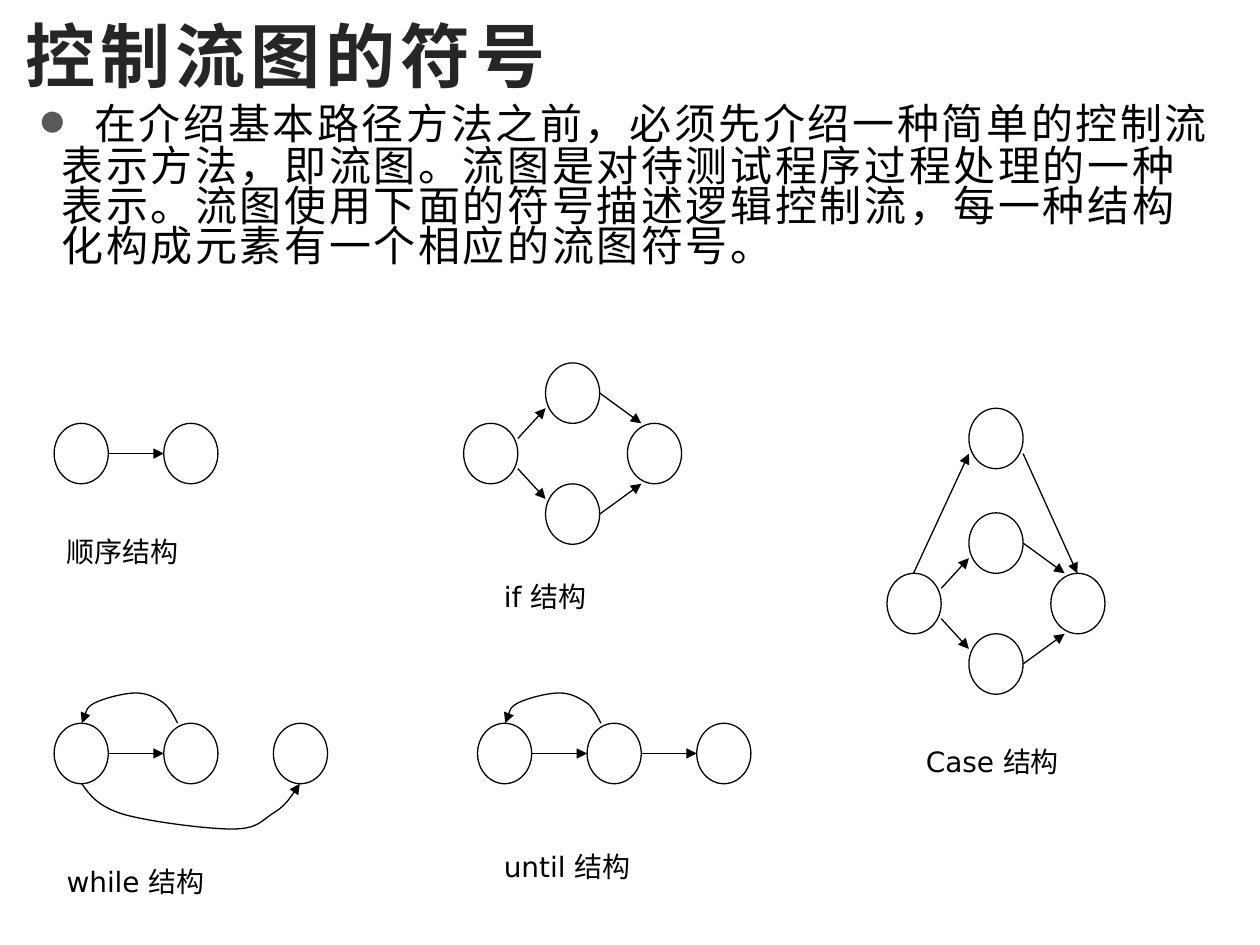
"""Build a slide of the control flow graph symbols."""
from dataclasses import dataclass, field

from pptx import Presentation
from pptx.dml.color import RGBColor
from pptx.enum.shapes import MSO_CONNECTOR as Connector, MSO_SHAPE as Shape
from pptx.enum.text import MSO_ANCHOR as Anchor, MSO_AUTO_SIZE as AutoSize, PP_ALIGN as Align
from pptx.oxml.ns import qn
from pptx.oxml.xmlchemy import OxmlElement
from pptx.util import Inches, Pt

BLACK = RGBColor(0x00, 0x00, 0x00)
WHITE = RGBColor(0xFF, 0xFF, 0xFF)
DARK = RGBColor(0x26, 0x26, 0x26)
GRAY = RGBColor(0x59, 0x59, 0x59)
CJK_FONT = "Noto Sans CJK SC"
LABEL_FONT = "DejaVu Sans"
BULLET_FONT = "Arial"
NODE_WIDTH, NODE_HEIGHT = 0.43, 0.48
LINE_WIDTH = Pt(0.75)

TITLE = "控制流图的符号"
INTRO = (
    "在介绍基本路径方法之前，必须先介绍一种简单的控制流表示方法，即流图。"
    "流图是对待测试程序过程处理的一种表示。"
    "流图使用下面的符号描述逻辑控制流，每一种结构化构成元素有一个相应的流图符号。"
)

Point = tuple[float, float]
Arrow = tuple[Point, Point]


@dataclass
class Structure:
    label: str
    label_box: tuple[float, float, float]
    nodes: list[Point]
    arrows: list[Arrow]
    curves: list[list[Point]] = field(default_factory=list)


def row(left: float, top: float, count: int, linked: int) -> tuple[list[Point], list[Arrow]]:
    """Return nodes in a row, with arrows after the first linked ones."""
    step, middle = 0.87, top + NODE_HEIGHT / 2
    nodes = [(left + i * step, top) for i in range(count)]
    arrows = [((x + NODE_WIDTH, middle), (x + step, middle)) for x, _ in nodes[:linked]]
    return nodes, arrows


def diamond(left: float, top: float) -> tuple[list[Point], list[Arrow]]:
    """Return the nodes and arrows of a two-way branch."""
    nodes = [(0.65, 0), (0, 0.48), (0.65, 0.96), (1.3, 0.48)]
    arrows = [
        ((0.43, 0.6), (0.65, 0.36)), ((1.08, 0.24), (1.41, 0.48)),
        ((0.43, 0.84), (0.65, 1.08)), ((1.08, 1.2), (1.41, 0.96)),
    ]
    return shift(nodes, left, top), [
        ((left + x1, top + y1), (left + x2, top + y2)) for (x1, y1), (x2, y2) in arrows
    ]


def shift(points: list[Point], left: float, top: float) -> list[Point]:
    """Move points by an offset."""
    return [(left + x, top + y) for x, y in points]


BACK_LOOP = [
    (0.76, 0.24), (0.73, 0.18), (0.7, 0.12), (0.65, 0.08), (0.59, 0.04),
    (0.52, 0), (0.43, 0), (0.34, 0), (0.18, 0.04), (0.1, 0.08),
    (0.03, 0.12), (0.01, 0.22), (0, 0.24),
]
EXIT_LOOP = [
    (0, 0), (0.06, 0.09), (0.13, 0.18), (0.32, 0.24), (0.52, 0.3),
    (0.99, 0.36), (1.19, 0.36), (1.39, 0.36), (1.42, 0.3), (1.51, 0.24),
    (1.61, 0.18), (1.67, 0.09), (1.73, 0),
]
case_nodes, case_arrows = diamond(7.04, 4.07)
STRUCTURES = [
    Structure("顺序结构", (0.43, 4.19, 1.52), *row(0.43, 3.36, 2, 1)),
    Structure("if 结构", (3.9, 4.55, 1.19), *diamond(3.68, 2.88)),
    Structure(
        "Case 结构", (7.25, 5.86, 1.84), [(7.69, 3.24), *case_nodes],
        [*case_arrows, ((7.25, 4.55), (7.69, 3.6)), ((8.12, 3.6), (8.55, 4.55))],
    ),
    Structure(
        "while 结构", (0.43, 6.81, 1.84), *row(0.43, 5.74, 3, 1),
        [shift(BACK_LOOP, 0.65, 5.5), shift(EXIT_LOOP, 0.65, 6.22)],
    ),
    Structure(
        "until 结构", (3.9, 6.69, 1.84), *row(3.79, 5.74, 3, 2),
        [shift(BACK_LOOP, 4.01, 5.5)],
    ),
]


def apply(target, **values) -> None:
    """Set attributes from format values."""
    for name, value in values.items():
        setattr(target, name, value)


def add_span(para, text: str, size: float, color: RGBColor, font: str,
             spacing: float = 0, bold: bool = False) -> None:
    """Add a formatted run to a paragraph."""
    span = para.add_run()
    span.text = text
    apply(span.font, size=Pt(size), name=font, bold=bold)
    span.font.color.rgb = color
    props = span.font._element
    if spacing:
        props.set("spc", str(int(spacing * 100)))
    east_asian = OxmlElement("a:ea")
    east_asian.set("typeface", CJK_FONT)
    props.find(qn("a:latin")).addnext(east_asian)


def style_line(shape, arrow: bool = False) -> None:
    """Give a shape a thin black line, with an arrowhead if asked."""
    shape.line.color.rgb = BLACK
    shape.line.width = LINE_WIDTH
    if arrow:
        tail = OxmlElement("a:tailEnd")
        tail.set("type", "triangle")
        shape.line._get_or_add_ln().append(tail)


def add_node(page, left: float, top: float) -> None:
    """Draw a flow graph node."""
    node = page.shapes.add_shape(
        Shape.OVAL, Inches(left), Inches(top), Inches(NODE_WIDTH), Inches(NODE_HEIGHT))
    node.shadow.inherit = False
    node.fill.solid()
    node.fill.fore_color.rgb = WHITE
    style_line(node)


def add_arrow(page, start: Point, end: Point) -> None:
    """Draw a straight edge."""
    edge = page.shapes.add_connector(
        Connector.STRAIGHT, *(Inches(value) for value in (*start, *end)))
    style_line(edge, arrow=True)
    edge._element.spPr.append(OxmlElement("a:effectLst"))


def add_curve(page, points: list[Point]) -> None:
    """Draw a curved edge from a start point and Bezier triples."""
    start, *rest = [(Inches(x), Inches(y)) for x, y in points]
    builder = page.shapes.build_freeform(*start)
    builder.add_line_segments(rest, close=False)
    curve = builder.convert_to_shape()
    segments = curve._element.xpath(".//a:lnTo")
    for first, second, third in zip(segments[::3], segments[1::3], segments[2::3]):
        bezier = OxmlElement("a:cubicBezTo")
        first.addprevious(bezier)
        for segment in (first, second, third):
            bezier.append(segment[0])
            segment.getparent().remove(segment)
    curve.shadow.inherit = False
    curve.fill.background()
    style_line(curve, arrow=True)


def add_text_box(page, left: float, top: float, width: float, height: float):
    """Add a wrapping text box and return its paragraph."""
    box = page.shapes.add_textbox(Inches(left), Inches(top), Inches(width), Inches(height))
    box.text_frame.word_wrap = True
    return box.text_frame.paragraphs[0]


def add_title(page) -> None:
    """Place and fill the title."""
    title = page.shapes.title
    apply(title, left=Inches(0.1), top=Inches(0.05), width=Inches(9), height=Inches(0.77))
    apply(title.text_frame, vertical_anchor=Anchor.MIDDLE, auto_size=AutoSize.NONE)
    para = title.text_frame.paragraphs[0]
    para.alignment = Align.LEFT
    add_span(para, TITLE, 40, DARK, CJK_FONT, spacing=3, bold=True)


def add_intro(page) -> None:
    """Add the bulleted introduction."""
    para = add_text_box(page, 0.2, 0.76, 9.54, 2.02)
    apply(para, line_spacing=0.8, space_after=Pt(10))
    props = para._p.get_or_add_pPr()
    props.set("marL", str(Inches(0.19)))
    props.set("indent", str(Inches(-0.19)))
    for tag, name, value in (("a:buFont", "typeface", BULLET_FONT), ("a:buChar", "char", "●")):
        bullet = OxmlElement(tag)
        bullet.set(name, value)
        props.append(bullet)
    add_span(para, " ", 28, GRAY, CJK_FONT, spacing=9.3)
    add_span(para, INTRO, 24, BLACK, CJK_FONT, spacing=1.5)


def add_structure(page, structure: Structure) -> None:
    """Draw one flow graph with its label."""
    for node in structure.nodes:
        add_node(page, *node)
    for arrow in structure.arrows:
        add_arrow(page, *arrow)
    for curve in structure.curves:
        add_curve(page, curve)
    para = add_text_box(page, *structure.label_box, 0.37)
    add_span(para, structure.label, 16, BLACK, LABEL_FONT)


def main() -> None:
    """Build and save the deck."""
    deck = Presentation()
    apply(deck, slide_width=Inches(10), slide_height=Inches(7.5))
    page = deck.slides.add_slide(deck.slide_layouts[5])
    add_title(page)
    add_intro(page)
    for structure in STRUCTURES:
        add_structure(page, structure)
    deck.save("out.pptx")


if __name__ == "__main__":
    main()
